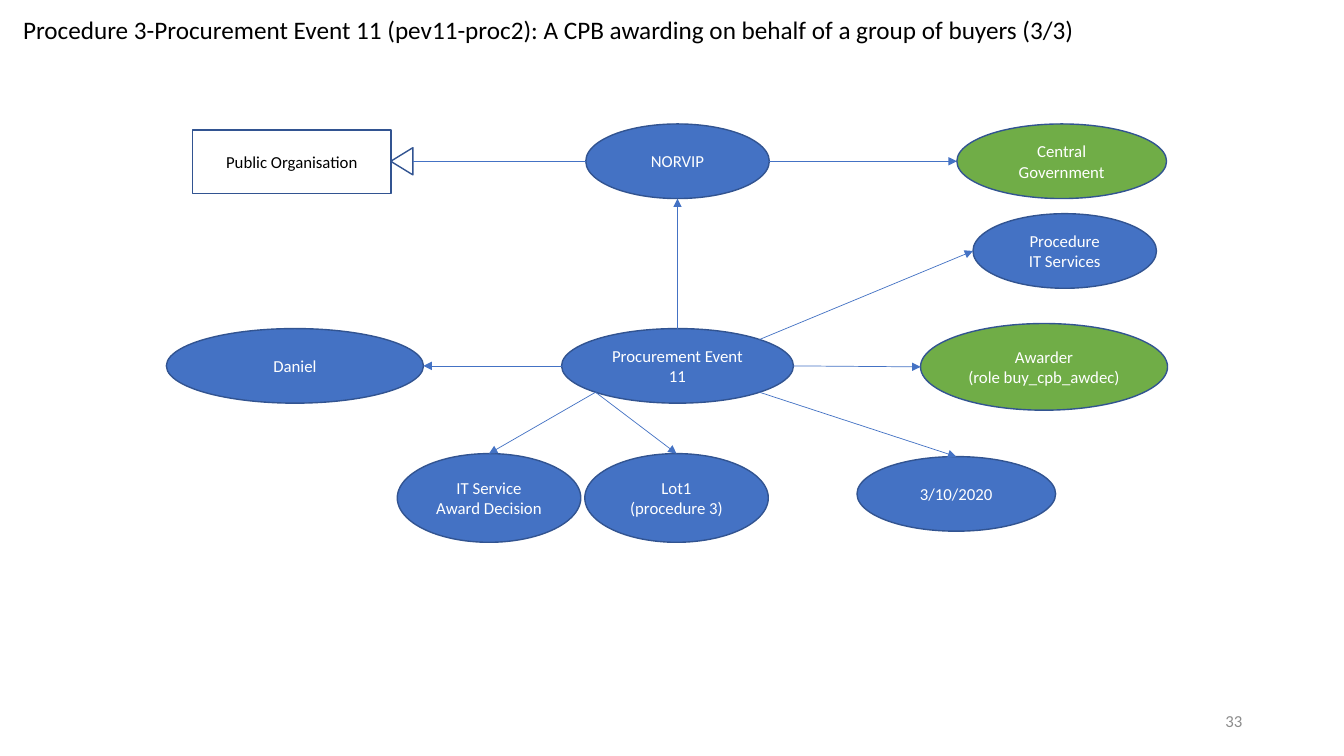
"""Build the procurement event slide: a graph of ellipses joined by arrows."""
import math
from dataclasses import dataclass
from typing import Optional

import lxml.etree
import pptx
import pptx.dml.color
import pptx.enum.shapes
import pptx.enum.text
import pptx.oxml.ns
import pptx.util

Inches = pptx.util.Inches
Pt = pptx.util.Pt
SHAPE = pptx.enum.shapes.MSO_SHAPE
ALIGN = pptx.enum.text.PP_ALIGN
ANCHOR = pptx.enum.text.MSO_ANCHOR

COLORS = {
    "blue": "4472C4",
    "green": "70AD47",
    "outline": "325491",
    "white": "FFFFFF",
    "black": "000000",
    "grey": "8C8C8C",
}
SITES = {
    "right": 0, "bottom_right": 45, "bottom": 90, "bottom_left": 135,
    "left": 180, "top": 270, "top_right": 315,
}


@dataclass(frozen=True)
class Node:
    left: float
    top: float
    width: float
    height: float
    lines: tuple[str, ...] = ()
    fill: Optional[str] = "blue"
    color: str = "white"
    kind: SHAPE = SHAPE.OVAL
    rotation: int = 0

    def site(self, name: str) -> tuple[float, float]:
        angle = math.radians(SITES[name])
        return (self.left + self.width / 2 * (1 + math.cos(angle)),
                self.top + self.height / 2 * (1 + math.sin(angle)))


@dataclass(frozen=True)
class Link:
    start: str
    start_site: str
    end: str
    end_site: str


@dataclass(frozen=True)
class Label:
    left: float
    top: float
    width: float
    height: float
    text: str
    size: int
    color: str
    align: ALIGN
    anchor: ANCHOR
    wrap: bool


NODES = {
    "buyer": Node(5.81, 1.23, 1.82, 0.74, ("NORVIP",)),
    "decision": Node(3.94, 4.5, 1.82, 0.88, ("IT Service", "Award Decision")),
    "date": Node(8.5, 4.53, 1.97, 0.74, ("3/10/2020",)),
    "event": Node(5.57, 3.26, 2.3, 0.74, ("Procurement Event 11",)),
    "awarder": Node(9.13, 3.21, 2.45, 0.86,
                    ("Awarder", "(role buy_cpb_awdec)"), "green"),
    "person": Node(1.65, 3.26, 2.55, 0.74, ("Daniel",)),
    "government": Node(9.49, 1.23, 2.08, 0.74, ("Central Government",), "green"),
    "organisation": Node(1.91, 1.29, 1.97, 0.63, ("Public Organisation",),
                         None, "black", SHAPE.RECTANGLE),
    "generalisation": Node(3.85, 1.49, 0.27, 0.22, fill=None,
                           kind=SHAPE.ISOSCELES_TRIANGLE, rotation=270),
    "lot": Node(5.8, 4.5, 1.82, 0.88, ("Lot1", "(procedure 3)")),
    "procedure": Node(9.65, 2.12, 1.82, 0.74, ("Procedure", "IT Services")),
}
LINKS = (
    Link("event", "top", "buyer", "bottom"),
    Link("event", "left", "person", "right"),
    Link("event", "bottom_left", "decision", "top"),
    Link("event", "bottom_right", "date", "top"),
    Link("event", "right", "awarder", "left"),
    Link("buyer", "right", "government", "left"),
    Link("event", "bottom_left", "lot", "top"),
    Link("event", "top_right", "procedure", "left"),
)
LABELS = (
    Label(0.13, 0.09, 10.88, 0.4,
          "Procedure 3-Procurement Event 11 (pev11-proc2): "
          "A CPB awarding on behalf of a group of buyers (3/3)",
          18, "black", ALIGN.LEFT, ANCHOR.TOP, False),
    Label(9.42, 6.95, 3, 0.4, "33", 12, "grey", ALIGN.RIGHT, ANCHOR.MIDDLE, True),
)


def rgb(name: str) -> pptx.dml.color.RGBColor:
    return pptx.dml.color.RGBColor.from_string(COLORS[name])


def write(tf, lines: tuple[str, ...], size: int, color: str, align: ALIGN) -> None:
    for i, line in enumerate(lines):
        p = tf.add_paragraph() if i else tf.paragraphs[0]
        p.alignment = align
        r = p.add_run()
        r.text = line
        r.font.name = "Calibri"
        r.font.size = Pt(size)
        r.font.color.rgb = rgb(color)


def draw_node(s, node: Node) -> None:
    sp = s.shapes.add_shape(node.kind, Inches(node.left), Inches(node.top),
                            Inches(node.width), Inches(node.height))
    sp.shadow.inherit = False
    sp.rotation = node.rotation
    if node.fill:
        sp.fill.solid()
        sp.fill.fore_color.rgb = rgb(node.fill)
    else:
        sp.fill.background()
    sp.line.color.rgb = rgb("outline")
    sp.line.width = Pt(1)
    tf = sp.text_frame
    tf.word_wrap = True
    tf.vertical_anchor = ANCHOR.MIDDLE
    write(tf, node.lines, 12, node.color, ALIGN.CENTER)


def draw_line(s, start: tuple[float, float], end: tuple[float, float],
              arrow: bool = True) -> None:
    cx = s.shapes.add_connector(pptx.enum.shapes.MSO_CONNECTOR.STRAIGHT,
                                *(Inches(v) for v in start + end))
    cx.line.color.rgb = rgb("blue")
    cx.line.width = Pt(0.5)
    qn = pptx.oxml.ns.qn
    if arrow:
        lxml.etree.SubElement(cx.line._get_or_add_ln(), qn("a:tailEnd"),
                              type="triangle")
    lxml.etree.SubElement(cx._element.spPr, qn("a:effectLst"))


def draw_label(s, label: Label) -> None:
    sp = s.shapes.add_textbox(Inches(label.left), Inches(label.top),
                              Inches(label.width), Inches(label.height))
    tf = sp.text_frame
    tf.word_wrap = label.wrap
    tf.vertical_anchor = label.anchor
    write(tf, (label.text,), label.size, label.color, label.align)


def main() -> None:
    prs = pptx.Presentation()
    prs.slide_width = Inches(13.33)
    prs.slide_height = Inches(7.5)
    s = prs.slides.add_slide(prs.slide_layouts[6])
    for node in NODES.values():
        draw_node(s, node)
    for link in LINKS:
        draw_line(s, NODES[link.start].site(link.start_site),
                  NODES[link.end].site(link.end_site))
    draw_line(s, NODES["buyer"].site("left"), (4.1, 1.6), arrow=False)
    for label in LABELS:
        draw_label(s, label)
    prs.save("out.pptx")


if __name__ == "__main__":
    main()
